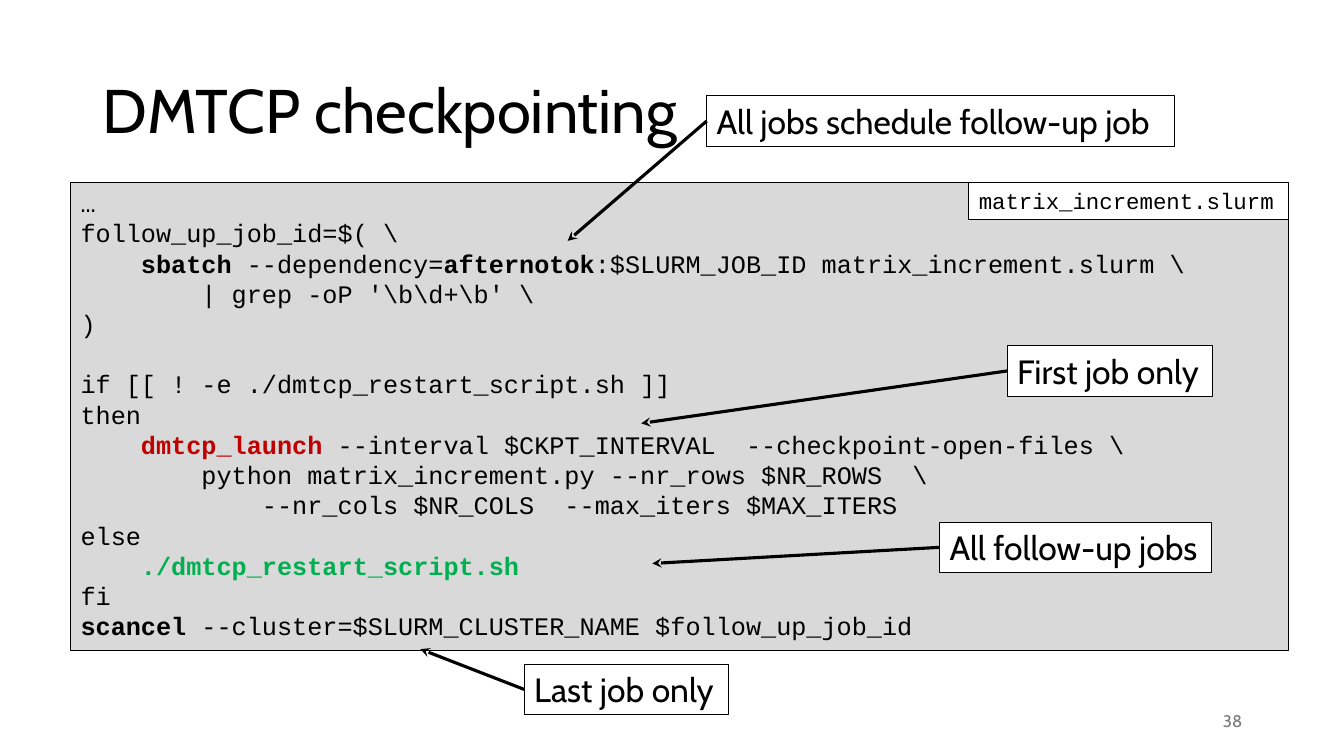
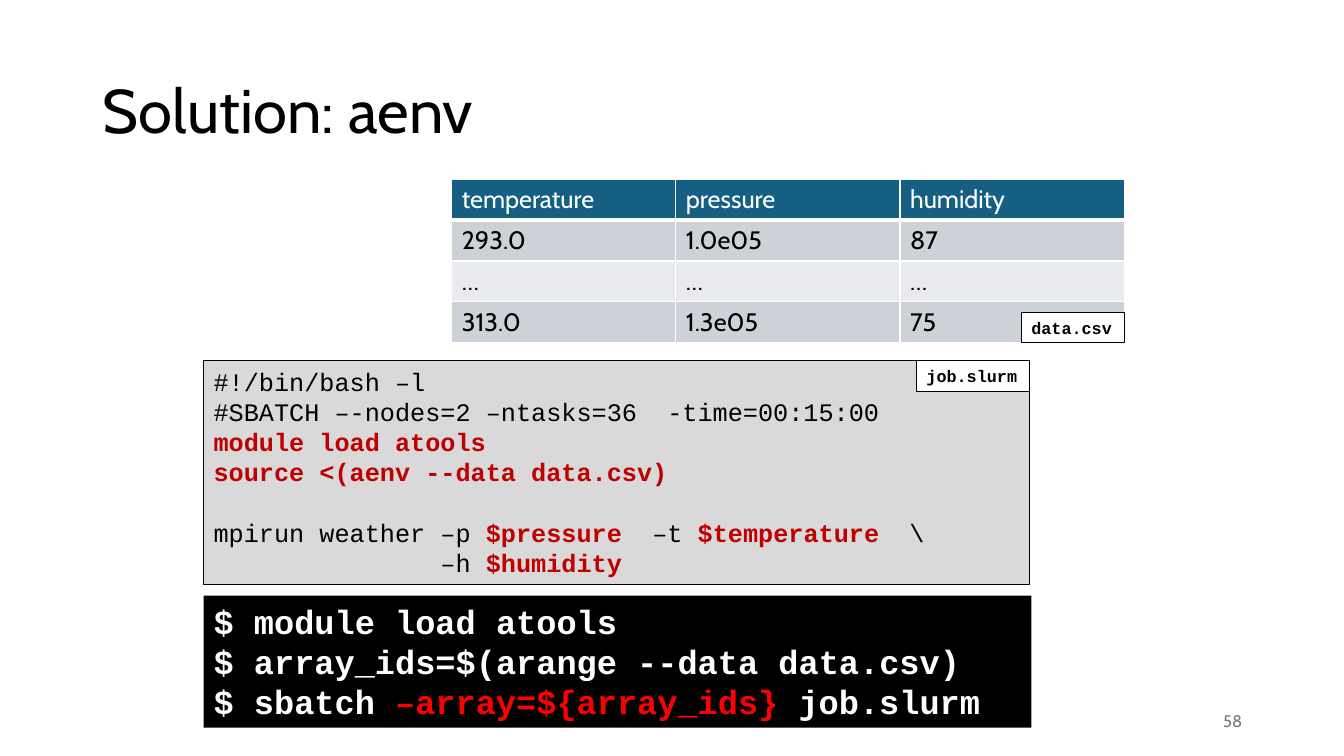
from dataclasses import dataclass

from lxml import etree
from pptx import Presentation, util as u
from pptx.dml.color import RGBColor
from pptx.enum import shapes, text
from pptx.oxml.ns import qn


@dataclass(frozen=True)
class Theme:
    body_font: str = "Cabin"
    code_font: str = "Courier New"
    black: str = "000000"
    white: str = "FFFFFF"
    panel: str = "D9D9D9"
    number: str = "797979"
    red: str = "C00000"
    green: str = "00B050"
    bright_red: str = "FF0000"
    header: str = "156082"
    bands: tuple = ("CCD2D8", "E8EAED")
    title_size: int = 44
    callout_size: int = 24
    terminal_size: int = 24
    code_size: int = 18
    table_size: int = 18
    number_size: int = 12
    code_line: float = 1.2
    outline: float = 0.75
    arrow: float = 2.25


THEME = Theme()
PX = 9144  # one px is a hundredth of an inch
SLIDE_SIZE = (1333, 750)
TITLE_BOX = (92, 40, 1150, 145)
NUMBER_BOX = (942, 695, 300, 40)

BOLD = {"bold": True}
RED = {"bold": True, "color": THEME.red}
GREEN = {"bold": True, "color": THEME.green}
BRIGHT_RED = {"color": THEME.bright_red}

# A line is a string or a list of (text, format) runs; "" is an empty code line.
CHECKPOINTING = {
    "title": "DMTCP checkpointing",
    "number": "38",
    "code_box": (70, 181, 1208, 464),
    "code": [
        "…",
        "follow_up_job_id=$( \\",
        [("    ", {}), ("sbatch", BOLD), (" --dependency=", {}), ("afternotok", BOLD),
         (":$SLURM_JOB_ID matrix_increment.slurm \\", {})],
        "        | grep -oP '\\b\\d+\\b' \\",
        ")",
        "",
        "if [[ ! -e ./dmtcp_restart_script.sh ]]",
        "then",
        [("    dmtcp_launch", RED),
         (" --interval $CKPT_INTERVAL  --checkpoint-open-files \\", {})],
        "        python matrix_increment.py --nr_rows $NR_ROWS  \\",
        "            --nr_cols $NR_COLS  --max_iters $MAX_ITERS",
        "else",
        [("    ./dmtcp_restart_script.sh", GREEN)],
        "fi",
        [("scancel", BOLD), (" --cluster=$SLURM_CLUSTER_NAME $follow_up_job_id", {})],
    ],
    "file": ("matrix_increment.slurm", (317, 37), {"size": 16}),
    # text, box, arrow tip
    "callouts": [
        ("All jobs schedule follow-up job", (701, 95, 464, 50), (563, 239)),
        ("First job only", (999, 343, 204, 50), (636, 420)),
        ("All follow-up jobs", (932, 518, 270, 50), (647, 559)),
        ("Last job only", (520, 659, 203, 50), (417, 644)),
    ],
}

AENV = {
    "title": "Solution: aenv",
    "number": "58",
    "code_box": (202, 358, 819, 222),
    "code": [
        "#!/bin/bash –l",
        "#SBATCH –-nodes=2 –ntasks=36  -time=00:15:00",
        [("module load atools", RED)],
        [("source <(aenv --data data.csv)", RED)],
        "",
        [("mpirun weather –p ", {}), ("$pressure", RED), ("  –t ", {}),
         ("$temperature", RED), ("  \\", {})],
        [("               –h ", {}), ("$humidity", RED)],
    ],
    "file": ("job.slurm", (112, 30), {"size": 12, "bold": True}),
    "terminal_box": (202, 591, 821, 131),
    "terminal": [
        "$ module load atools",
        "$ array_ids=$(arange --data data.csv)",
        [("$ sbatch ", {}), ("–array=${array_ids} ", BRIGHT_RED), ("job.slurm", {})],
    ],
    "table_box": (448, 178, 667, 162),
    "table": [
        ("temperature", "pressure", "humidity"),
        ("293.0", "1.0e05", "87"),
        ("…", "…", "…"),
        ("313.0", "1.3e05", "75"),
    ],
    "table_file": ("data.csv", (102, 30), {"size": 12, "bold": True}),
}


def emu(lengths):
    return [u.Emu(length * PX) for length in lengths]


def rgb(color):
    return RGBColor.from_string(color)


def write(frame, lines, size, font=THEME.body_font, color=THEME.black, bold=False,
          align=text.PP_ALIGN.LEFT, spacing=None):
    """Fill a text frame; an empty line becomes space before the next one."""
    paragraph, gap = None, 0
    for line in lines:
        if not line:
            gap += size * THEME.code_line
            continue
        paragraph = frame.add_paragraph() if paragraph is not None else frame.paragraphs[0]
        paragraph.alignment = align
        if spacing:
            paragraph.line_spacing = spacing
        if gap:
            paragraph.space_before, gap = u.Pt(gap), 0
        for content, style in [(line, {})] if isinstance(line, str) else line:
            run = paragraph.add_run()
            run.text = content
            run.font.name = font
            run.font.size = u.Pt(size)
            run.font.bold = style.get("bold", bold)
            run.font.color.rgb = rgb(style.get("color", color))


def add_box(slide, box, lines, fill=THEME.white, outlined=True, wrap=False, **style):
    shape = slide.shapes.add_shape(shapes.MSO_SHAPE.RECTANGLE, *emu(box))
    shape.shadow.inherit = False
    shape.fill.solid()
    shape.fill.fore_color.rgb = rgb(fill)
    if outlined:
        shape.line.color.rgb = rgb(THEME.black)
        shape.line.width = u.Pt(THEME.outline)
    else:
        shape.line.fill.background()
    frame = shape.text_frame
    frame.word_wrap = wrap
    frame.auto_size = text.MSO_AUTO_SIZE.SHAPE_TO_FIT_TEXT
    frame.vertical_anchor = text.MSO_ANCHOR.TOP
    write(frame, lines, **style)
    return shape


def add_file_label(slide, label, host, at_bottom=False):
    """Put a file name in the right-hand corner of the host box."""
    name, (width, height), style = label
    left, top, host_width, host_height = host
    box = (left + host_width - width,
           top + (host_height - height if at_bottom else 0), width, height)
    add_box(slide, box, [name], font=THEME.code_font, **style)


def add_code(slide, content):
    add_box(slide, content["code_box"], content["code"], fill=THEME.panel, wrap=True,
            size=THEME.code_size, font=THEME.code_font)
    add_file_label(slide, content["file"], content["code_box"])


def add_callout(slide, label, box, tip):
    callout = add_box(slide, box, [label], size=THEME.callout_size)
    start = (box[0], box[1] + box[3] // 2)
    arrow = slide.shapes.add_connector(shapes.MSO_CONNECTOR.STRAIGHT, *emu(start + tip))
    arrow.begin_connect(callout, 1)
    arrow.line.color.rgb = rgb(THEME.black)
    arrow.line.width = u.Pt(THEME.arrow)
    etree.SubElement(arrow.line._get_or_add_ln(), qn("a:tailEnd"), type="stealth")
    etree.SubElement(arrow._element.spPr, qn("a:effectLst"))


def add_borders(cell, is_header):
    properties = cell._tc.get_or_add_tcPr()
    for index, side in enumerate(("lnL", "lnR", "lnT", "lnB")):
        width = u.Pt(3 if is_header and side == "lnB" else 1)
        border = etree.Element(qn(f"a:{side}"), w=str(width))
        fill = etree.SubElement(border, qn("a:solidFill"))
        etree.SubElement(fill, qn("a:srgbClr"), val=THEME.white)
        properties.insert(index, border)


def add_data_table(slide, rows, box):
    frame = slide.shapes.add_table(len(rows), len(rows[0]), *emu(box))
    for row_index, row in enumerate(rows):
        is_header = row_index == 0
        fill = THEME.header if is_header else THEME.bands[(row_index - 1) % 2]
        for column_index, value in enumerate(row):
            cell = frame.table.cell(row_index, column_index)
            cell.fill.solid()
            cell.fill.fore_color.rgb = rgb(fill)
            add_borders(cell, is_header)
            write(cell.text_frame, [value], size=THEME.table_size,
                  color=THEME.white if is_header else THEME.black)


def add_slide(presentation, content):
    """Add a slide with its title and slide number."""
    slide = presentation.slides.add_slide(presentation.slide_layouts[5])
    title = slide.shapes.title
    title.left, title.top, title.width, title.height = emu(TITLE_BOX)
    title.text_frame.vertical_anchor = text.MSO_ANCHOR.MIDDLE
    write(title.text_frame, [content["title"]], size=THEME.title_size, spacing=0.9)
    number = slide.shapes.add_textbox(*emu(NUMBER_BOX)).text_frame
    number.word_wrap = True
    number.vertical_anchor = text.MSO_ANCHOR.MIDDLE
    write(number, [content["number"]], size=THEME.number_size, color=THEME.number,
          align=text.PP_ALIGN.RIGHT)
    return slide


def main():
    presentation = Presentation()
    presentation.slide_width, presentation.slide_height = emu(SLIDE_SIZE)

    slide = add_slide(presentation, CHECKPOINTING)
    add_code(slide, CHECKPOINTING)
    for callout in CHECKPOINTING["callouts"]:
        add_callout(slide, *callout)

    slide = add_slide(presentation, AENV)
    add_box(slide, AENV["terminal_box"], AENV["terminal"], fill=THEME.black,
            outlined=False, wrap=True, size=THEME.terminal_size,
            font=THEME.code_font, color=THEME.white, bold=True)
    add_code(slide, AENV)
    add_data_table(slide, AENV["table"], AENV["table_box"])
    add_file_label(slide, AENV["table_file"], AENV["table_box"], at_bottom=True)

    presentation.save("out.pptx")


if __name__ == "__main__":
    main()
